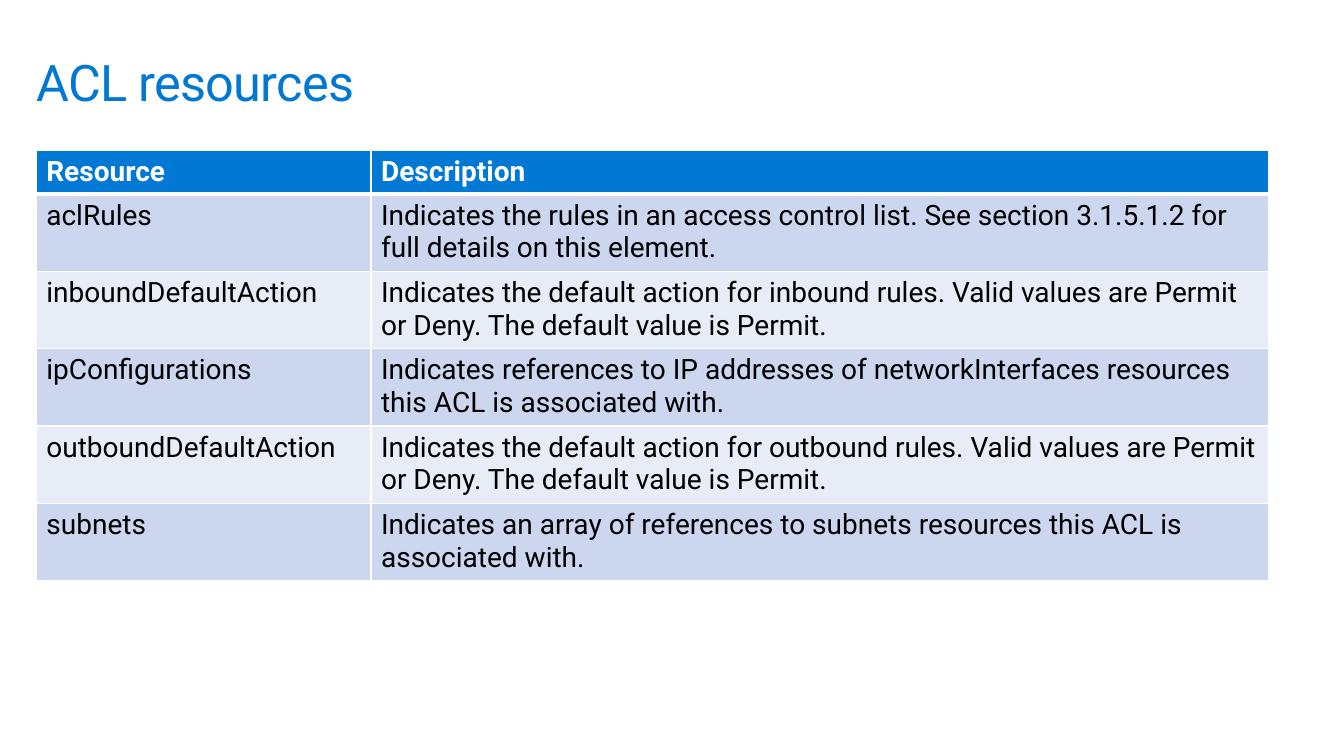
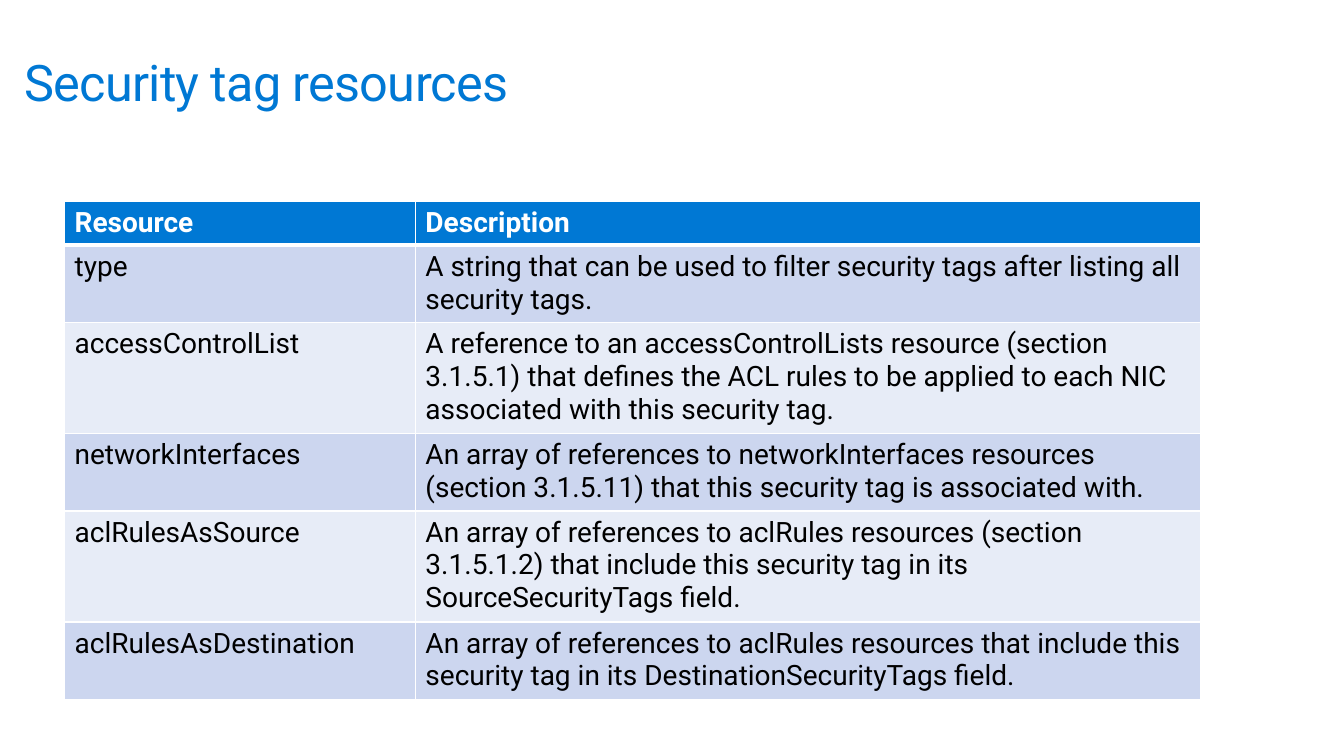
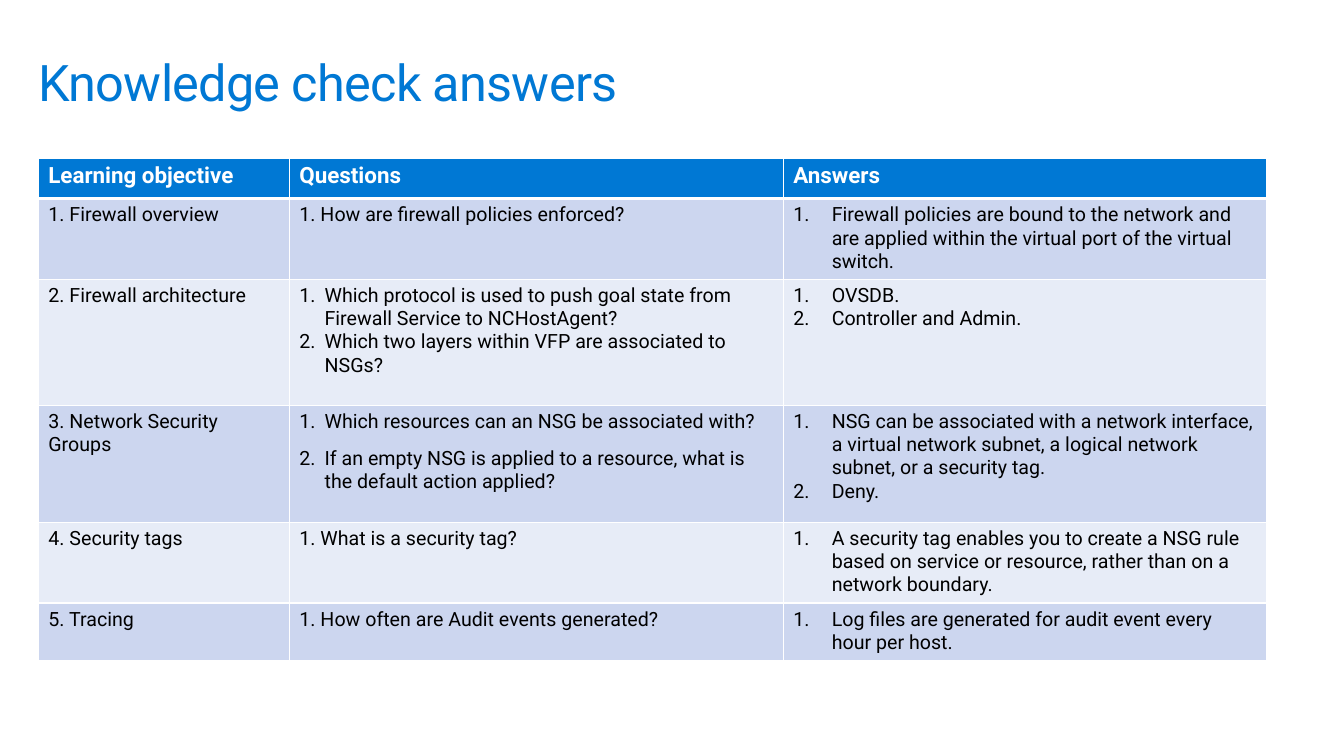
from dataclasses import dataclass

from lxml import etree
from pptx import Presentation
from pptx.dml.color import RGBColor
from pptx.enum.text import MSO_ANCHOR
from pptx.oxml.ns import qn
from pptx.util import Inches, Pt

ANCHOR_BOTTOM = MSO_ANCHOR.BOTTOM
BLANK_LAYOUT = 6

BLUE = RGBColor(0x00, 0x78, 0xD4)
WHITE = RGBColor(0xFF, 0xFF, 0xFF)
BLACK = RGBColor(0x00, 0x00, 0x00)
BAND_DARK = RGBColor(0xCC, 0xD6, 0xEF)
BAND_LIGHT = RGBColor(0xE7, 0xEC, 0xF7)

FONT_NAME = "Roboto"
TITLE_FORMAT = {"size": Pt(36), "bold": False, "color": BLUE}
TITLE_TOP, TITLE_HEIGHT = 0.5, 0.61
TITLE_TRACKING = "-50"
THIN_BORDER, THICK_BORDER = Pt(1), Pt(3)
HEADER_HEIGHT = 0.42
TWO_LINES, THREE_LINES = 0.755, 1.08


@dataclass
class Numbered:
    items: list
    indent: float
    gap: int = 0


def answers(*items):
    return Numbered(items, 0.38)


def questions(*items, gap=0):
    return Numbered(items, 0.25, gap)


def add_run(paragraph, text, text_format):
    run = paragraph.add_run()
    run.text = text
    run.font.name = FONT_NAME
    for name, value in text_format.items():
        if name == "color":
            run.font.color.rgb = value
        else:
            setattr(run.font, name, value)
    return run


def add_title(slide, text, left, width):
    box = slide.shapes.add_textbox(
        Inches(left), Inches(TITLE_TOP), Inches(width), Inches(TITLE_HEIGHT))
    frame = box.text_frame
    frame.word_wrap = True
    frame.vertical_anchor = ANCHOR_BOTTOM
    for side in ("left", "top", "right", "bottom"):
        setattr(frame, f"margin_{side}", 0)
    run = add_run(frame.paragraphs[0], text, TITLE_FORMAT)
    run.font._element.set("spc", TITLE_TRACKING)


def number_paragraph(paragraph, indent):
    properties = paragraph._p.get_or_add_pPr()
    properties.set("marL", str(Inches(indent)))
    properties.set("indent", str(-Inches(indent)))
    etree.SubElement(properties, qn("a:buFont"), typeface="+mj-lt")
    etree.SubElement(properties, qn("a:buAutoNum"), type="arabicPeriod")


def set_borders(cell, row_index):
    widths = {"L": THIN_BORDER, "R": THIN_BORDER,
              "T": THICK_BORDER if row_index == 1 else THIN_BORDER,
              "B": THICK_BORDER if row_index == 0 else THIN_BORDER}
    properties = cell._tc.get_or_add_tcPr()
    for side, width in widths.items():
        line = etree.SubElement(properties, qn(f"a:ln{side}"), w=str(width))
        fill = etree.SubElement(line, qn("a:solidFill"))
        etree.SubElement(fill, qn("a:srgbClr"), val=str(WHITE))


def fill_cell(cell, content, text_format):
    frame = cell.text_frame
    if isinstance(content, str):
        add_run(frame.paragraphs[0], content, text_format)
        return
    for index, item in enumerate(content.items):
        paragraph = frame.add_paragraph() if index else frame.paragraphs[0]
        number_paragraph(paragraph, content.indent)
        if index and content.gap:
            paragraph.space_before = Pt(content.gap)
        add_run(paragraph, item, text_format)


def add_banded_table(slide, left, top, widths, heights, rows, header_size, body_size):
    table = slide.shapes.add_table(
        len(rows), len(widths), Inches(left), Inches(top),
        Inches(sum(widths)), Inches(sum(heights))).table
    for column, width in zip(table.columns, widths):
        column.width = Inches(width)
    for row, height in zip(table.rows, heights):
        row.height = Inches(height)
    header_format = {"size": Pt(header_size), "bold": True, "color": WHITE}
    body_format = {"size": Pt(body_size), "bold": False, "color": BLACK}
    for row_index, contents in enumerate(rows):
        band = BAND_DARK if row_index % 2 else BAND_LIGHT
        for column_index, content in enumerate(contents):
            cell = table.cell(row_index, column_index)
            set_borders(cell, row_index)
            cell.fill.solid()
            cell.fill.fore_color.rgb = band if row_index else BLUE
            fill_cell(cell, content, body_format if row_index else header_format)


ACL_ROWS = [
    ("Resource", "Description"),
    ("aclRules", "Indicates the rules in an access control list. "
     "See section 3.1.5.1.2 for full details on this element."),
    ("inboundDefaultAction", "Indicates the default action for inbound rules. "
     "Valid values are Permit or Deny. The default value is Permit."),
    ("ipConfigurations", "Indicates references to IP addresses of networkInterfaces "
     "resources this ACL is associated with."),
    ("outboundDefaultAction", "Indicates the default action for outbound rules. "
     "Valid values are Permit or Deny. The default value is Permit."),
    ("subnets", "Indicates an array of references to subnets resources "
     "this ACL is associated with."),
]

SECURITY_TAG_ROWS = [
    ("Resource", "Description"),
    ("type", "A string that can be used to filter security tags "
     "after listing all security tags."),
    ("accessControlList", "A reference to an accessControlLists resource "
     "(section 3.1.5.1) that defines the ACL rules to be applied to each NIC "
     "associated with this security tag."),
    ("networkInterfaces", "An array of references to networkInterfaces resources "
     "(section 3.1.5.11) that this security tag is associated with."),
    ("aclRulesAsSource", "An array of references to aclRules resources "
     "(section 3.1.5.1.2) that include this security tag in its "
     "SourceSecurityTags field."),
    ("aclRulesAsDestination", "An array of references to aclRules resources "
     "that include this security tag in its DestinationSecurityTags field."),
]

KNOWLEDGE_CHECK_ROWS = [
    ("Learning objective", "Questions", "Answers"),
    ("1. Firewall overview", "1. How are firewall policies enforced?",
     answers("Firewall policies are bound to the network and are applied "
             "within the virtual port of the virtual switch.")),
    ("2. Firewall architecture",
     questions("Which protocol is used to push goal state from "
               "Firewall Service to NCHostAgent?",
               "Which two layers within VFP are associated to NSGs?"),
     answers("OVSDB.", "Controller and Admin.")),
    ("3. Network Security Groups",
     questions("Which resources can an NSG be associated with?",
               "If an empty NSG is applied to a resource, "
               "what is the default action applied?", gap=10),
     answers("NSG can be associated with a network interface, a virtual network "
             "subnet, a logical network subnet, or a security tag.", "Deny.")),
    ("4. Security tags", "1. What is a security tag?",
     answers("A security tag enables you to create a NSG rule based on service "
             "or resource, rather than on a network boundary.")),
    ("5. Tracing", "1. How often are Audit events generated?",
     answers("Log files are generated for audit event every hour per host.")),
]


def main():
    presentation = Presentation()
    presentation.slide_width = Inches(13.33)
    presentation.slide_height = Inches(7.5)
    layout = presentation.slide_layouts[BLANK_LAYOUT]

    slide = presentation.slides.add_slide(layout)
    add_title(slide, "ACL resources", 0.36, 7.97)
    add_banded_table(slide, 0.36, 1.49, [3.32, 8.9],
                     [HEADER_HEIGHT] + [TWO_LINES] * 5, ACL_ROWS, 20, 20)

    slide = presentation.slides.add_slide(layout)
    add_title(slide, "Security tag resources", 0.24, 10.09)
    add_banded_table(slide, 0.64, 2, [3.48, 7.79],
                     [HEADER_HEIGHT, TWO_LINES, THREE_LINES, TWO_LINES,
                      THREE_LINES, TWO_LINES], SECURITY_TAG_ROWS, 20, 20)

    slide = presentation.slides.add_slide(layout)
    add_title(slide, "Knowledge check answers", 0.38, 12.95)
    add_banded_table(slide, 0.38, 1.57, [2.49, 4.9, 4.79],
                     [0.4, 0.79, 1.25, 1.16, 0.79, 0.56],
                     KNOWLEDGE_CHECK_ROWS, 16, 14)

    presentation.save("out.pptx")


if __name__ == "__main__":
    main()
